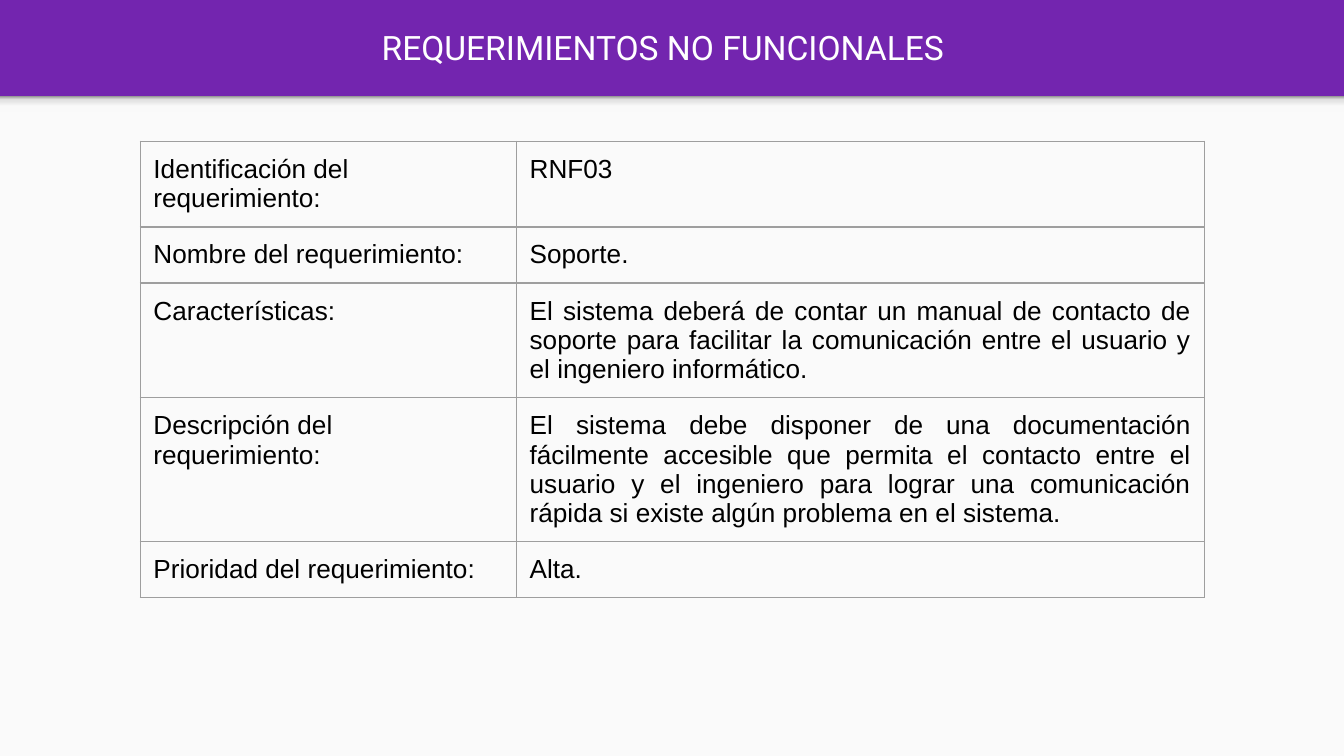
from copy import deepcopy

from lxml.etree import SubElement
from pptx import Presentation
from pptx.dml.color import RGBColor
from pptx.enum.shapes import MSO_SHAPE as Shape
from pptx.enum.text import MSO_ANCHOR as Anchor, MSO_AUTO_SIZE as AutoSize, PP_ALIGN as Align
from pptx.oxml.ns import qn
from pptx.util import Cm, Pt

PURPLE = RGBColor(0x73, 0x25, 0xAF)
PAPER = RGBColor(0xFA, 0xFA, 0xFA)
WHITE = RGBColor(0xFF, 0xFF, 0xFF)
BLACK = RGBColor(0x00, 0x00, 0x00)
BORDER = RGBColor(0x9E, 0x9E, 0x9E)
SHADOW_STOPS = [
    (0, RGBColor(0xF9, 0xF9, 0xF9)),
    (0.36, RGBColor(0xF9, 0xF9, 0xF9)),
    (0.8, RGBColor(0xDE, 0xDE, 0xDE)),
    (1, RGBColor(0x99, 0x99, 0x99)),
]

WIDTH, HEIGHT = Cm(25.4), Cm(14.29)
HEADER_HEIGHT = Cm(1.82)
MARGIN = Cm(0.25)
COLUMN_WIDTHS = [Cm(7.11), Cm(13)]
ROW_HEIGHTS = [Cm(1.62), Cm(1.06), Cm(2.17), Cm(2.72), Cm(1.06)]
REQUIREMENT = [
    ("Identificación del requerimiento:", "RNF03"),
    ("Nombre del requerimiento:", "Soporte."),
    ("Características:",
     "El sistema deberá de contar un manual de contacto de soporte para facilitar "
     "la comunicación entre el usuario y el ingeniero informático."),
    ("Descripción del\nrequerimiento:",
     "El sistema debe disponer de una documentación fácilmente accesible que permita "
     "el contacto entre el usuario y el ingeniero para lograr una comunicación rápida "
     "si existe algún problema en el sistema."),
    ("Prioridad del requerimiento:", "Alta."),
]


def add_band(slide, height):
    """Add a plain full-width rectangle below the header."""
    shape = slide.shapes.add_shape(Shape.RECTANGLE, 0, HEADER_HEIGHT, WIDTH, height)
    shape.shadow.inherit = False
    shape.line.fill.background()
    return shape


def fill_gradient(shape, stops):
    """Fill a shape with a gradient that runs from bottom to top."""
    shape.fill.gradient()
    shape.fill.gradient_angle = 90
    stop_list = next(shape.element.iter(qn("a:gsLst")))
    for _ in range(len(stops) - len(stop_list)):
        stop_list.append(deepcopy(stop_list[0]))
    for stop, (position, color) in zip(shape.fill.gradient_stops, stops):
        stop.position = position
        stop.color.rgb = color


def set_margins(target):
    """Give a cell or text frame equal margins."""
    target.margin_left = target.margin_right = MARGIN
    target.margin_top = target.margin_bottom = MARGIN


def style_paragraph(paragraph, font_name, size, color, alignment):
    """Set the font and alignment of a paragraph."""
    paragraph.alignment = alignment
    paragraph.font.name = font_name
    paragraph.font.size = Pt(size)
    paragraph.font.color.rgb = color


def add_borders(cell):
    """Draw a thin line on each side of a cell."""
    properties = cell._tc.get_or_add_tcPr()
    for side in ("a:lnL", "a:lnR", "a:lnT", "a:lnB"):
        line = SubElement(properties, qn(side), w=str(Pt(0.75)))
        fill = SubElement(line, qn("a:solidFill"))
        SubElement(fill, qn("a:srgbClr"), val=str(BORDER))


def fill_cell(cell, text, alignment):
    """Write and format one table cell."""
    cell.text = text
    set_margins(cell)
    add_borders(cell)
    cell.fill.background()
    for paragraph in cell.text_frame.paragraphs:
        style_paragraph(paragraph, "Arial", 14, BLACK, alignment)


def add_requirement_table(slide):
    """Add the table of requirement fields and values."""
    table = slide.shapes.add_table(
        len(REQUIREMENT), len(COLUMN_WIDTHS), Cm(2.65), Cm(2.67),
        sum(COLUMN_WIDTHS), sum(ROW_HEIGHTS)).table
    table.first_row = table.horz_banding = False
    for column, width in zip(table.columns, COLUMN_WIDTHS):
        column.width = width
    for row, height in zip(table.rows, ROW_HEIGHTS):
        row.height = height
    for i, texts in enumerate(REQUIREMENT):
        for j, text in enumerate(texts):
            alignment = Align.LEFT if i == j == 0 else Align.JUSTIFY
            fill_cell(table.cell(i, j), text, alignment)


def set_title(slide, text):
    """Place and format the title in the header."""
    title = slide.shapes.title
    title.left, title.top, title.width, title.height = Cm(0.28), Cm(0.05), Cm(24.5), Cm(1.68)
    frame = title.text_frame
    frame.text = text
    frame.auto_size = AutoSize.NONE
    frame.word_wrap = True
    frame.vertical_anchor = Anchor.MIDDLE
    set_margins(frame)
    style_paragraph(frame.paragraphs[0], "Roboto", 18, WHITE, Align.CENTER)


def main():
    """Build and save the presentation."""
    presentation = Presentation()
    presentation.slide_width, presentation.slide_height = WIDTH, HEIGHT
    slide = presentation.slides.add_slide(presentation.slide_layouts[5])
    slide.background.fill.solid()
    slide.background.fill.fore_color.rgb = PURPLE
    page = add_band(slide, HEIGHT - HEADER_HEIGHT)
    page.fill.solid()
    page.fill.fore_color.rgb = PAPER
    fill_gradient(add_band(slide, Cm(0.3)), SHADOW_STOPS)
    add_requirement_table(slide)
    set_title(slide, "REQUERIMIENTOS NO FUNCIONALES")
    presentation.save("out.pptx")


if __name__ == "__main__":
    main()
